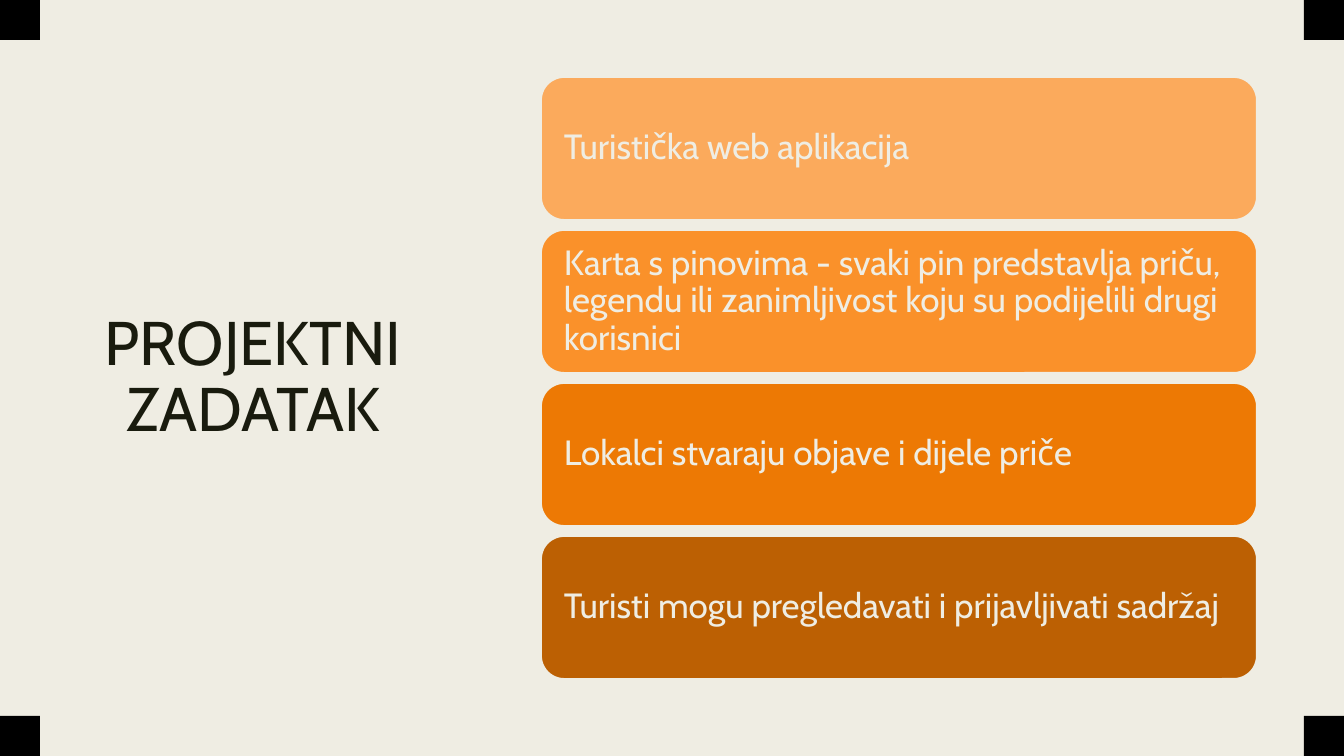
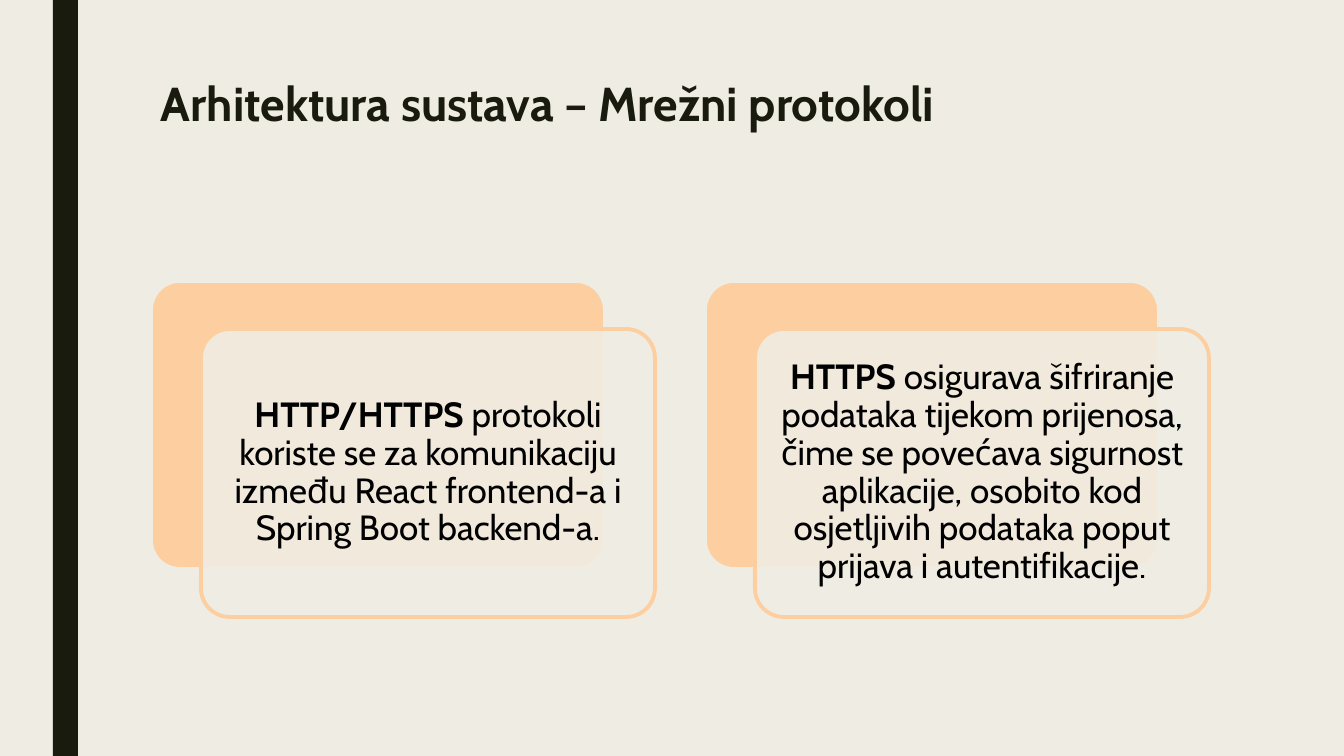
import pptx
import pptx.util
import pptx.dml.color
import pptx.enum.shapes
import pptx.enum.text
import pptx.oxml.ns
import lxml.etree

WIDTH, HEIGHT = 1344, 756
EMU_PER_PX = 12192000 / WIDTH

PAPER, INK, BLACK, PEACH = "EFEDE3", "191B0E", "000000", "FDCEA0"

SHAPES = pptx.enum.shapes.MSO_SHAPE
ALIGN = pptx.enum.text.PP_ALIGN
ANCHOR = pptx.enum.text.MSO_ANCHOR


def px(length):
    return pptx.util.Emu(round(length * EMU_PER_PX))


def color(hex_value):
    return pptx.dml.color.RGBColor.from_string(hex_value)


class Deck:
    """Holds the shared style and the slide being drawn."""
    font = "Cabin"
    body_size = 25
    card_line = 2.75

    def __init__(self):
        self.prs = pptx.Presentation()
        self.prs.slide_width, self.prs.slide_height = px(WIDTH), px(HEIGHT)
        self.slide = None

    def new_slide(self):
        self.slide = self.prs.slides.add_slide(self.prs.slide_layouts[6])
        background = self.slide.background.fill
        background.solid()
        background.fore_color.rgb = color(PAPER)

    def set_text(self, shape, runs, size, ink, align, anchor, insets, spacing):
        """Fill a shape with one paragraph of (text, bold) runs."""
        frame = shape.text_frame
        frame.word_wrap = True
        frame.vertical_anchor = anchor
        frame.margin_left = frame.margin_right = px(insets[0])
        frame.margin_top = frame.margin_bottom = px(insets[1])
        paragraph = frame.paragraphs[0]
        paragraph.alignment = align
        paragraph.line_spacing = spacing
        paragraph.font.name = self.font
        paragraph.font.size = pptx.util.Pt(size)
        paragraph.font.color.rgb = color(ink)
        for text, bold in runs:
            run = paragraph.add_run()
            run.text = text
            run.font.bold = bold

    def title(self, box, text, size, bold=False, align=ALIGN.LEFT, anchor=ANCHOR.TOP):
        shape = self.slide.shapes.add_textbox(*map(px, box))
        self.set_text(shape, [(text, bold)], size, INK, align, anchor, (10, 5), 0.89)

    def block(self, box, fill, kind=SHAPES.RECTANGLE):
        shape = self.slide.shapes.add_shape(kind, *map(px, box))
        shape.shadow.inherit = False
        shape.fill.solid()
        shape.fill.fore_color.rgb = color(fill)
        shape.line.fill.background()
        return shape

    def card(self, box, fill, line, corner=None, opacity=None):
        shape = self.block(box, fill, SHAPES.ROUNDED_RECTANGLE)
        shape.line.color.rgb = color(line)
        shape.line.width = pptx.util.Pt(self.card_line)
        if corner is not None:
            shape.adjustments[0] = corner
        if opacity is not None:
            qn = pptx.oxml.ns.qn
            properties = shape.element.find(qn("p:spPr"))
            tint = properties.find(qn("a:solidFill")).find(qn("a:srgbClr"))
            lxml.etree.SubElement(tint, qn("a:alpha"), val=str(opacity * 1000))
        return shape

    def card_text(self, card, runs, ink, align):
        self.set_text(card, runs, self.body_size, ink, align, ANCHOR.MIDDLE, (17, 17), 0.9)


def project_task(deck):
    deck.new_slide()

    # Corner squares
    corner = 40
    for left in (0, WIDTH - corner):
        for top in (0, HEIGHT - corner):
            deck.block((left, top, corner, corner), BLACK)

    deck.title((71, 71, 364, 615), "PROJEKTNI ZADATAK", 44,
               align=ALIGN.CENTER, anchor=ANCHOR.MIDDLE)

    # Stacked cards
    tasks = [
        ("Turistička web aplikacija", "FBAA5C"),
        ("Karta s pinovima - svaki pin predstavlja priču, legendu ili "
         "zanimljivost koju su podijelili drugi korisnici", "FA912A"),
        ("Lokalci stvaraju objave i dijele priče", "ED7904"),
        ("Turisti mogu pregledavati i prijavljivati sadržaj", "BC6003"),
    ]
    card_height, gap = 145, 8
    for row, (task, fill) in enumerate(tasks):
        top = 76 + row * (card_height + gap)
        card = deck.card((540, top, 718, card_height), fill, PAPER)
        deck.card_text(card, [(task, False)], PAPER, ALIGN.LEFT)


def network_protocols(deck):
    deck.new_slide()

    # Side stripe and title
    deck.block((53, 0, 25, HEIGHT), INK)
    deck.title((151, 76, 1058, 163), "Arhitektura sustava – Mrežni protokoli", 34, bold=True)

    # Pairs of overlapping cards
    protocols = [
        ("HTTP/HTTPS", " protokoli koriste se za komunikaciju između React "
         "frontend-a i Spring Boot backend-a."),
        ("HTTPS", " osigurava šifriranje podataka tijekom prijenosa, čime se "
         "povećava sigurnost aplikacije, osobito kod osjetljivih podataka "
         "poput prijava i autentifikacije."),
    ]
    width, height = 454, 288
    for column, (protocol, purpose) in enumerate(protocols):
        left, top = 151 + column * 554, 281
        deck.card((left, top, width, height), PEACH, PAPER, corner=0.1)
        front = deck.card((left + 50, top + 48, width, height), PAPER, PEACH,
                          corner=0.1, opacity=90)
        deck.card_text(front, [(protocol, True), (purpose, False)], BLACK, ALIGN.CENTER)


def main():
    deck = Deck()
    project_task(deck)
    network_protocols(deck)
    deck.prs.save("out.pptx")


if __name__ == "__main__":
    main()
